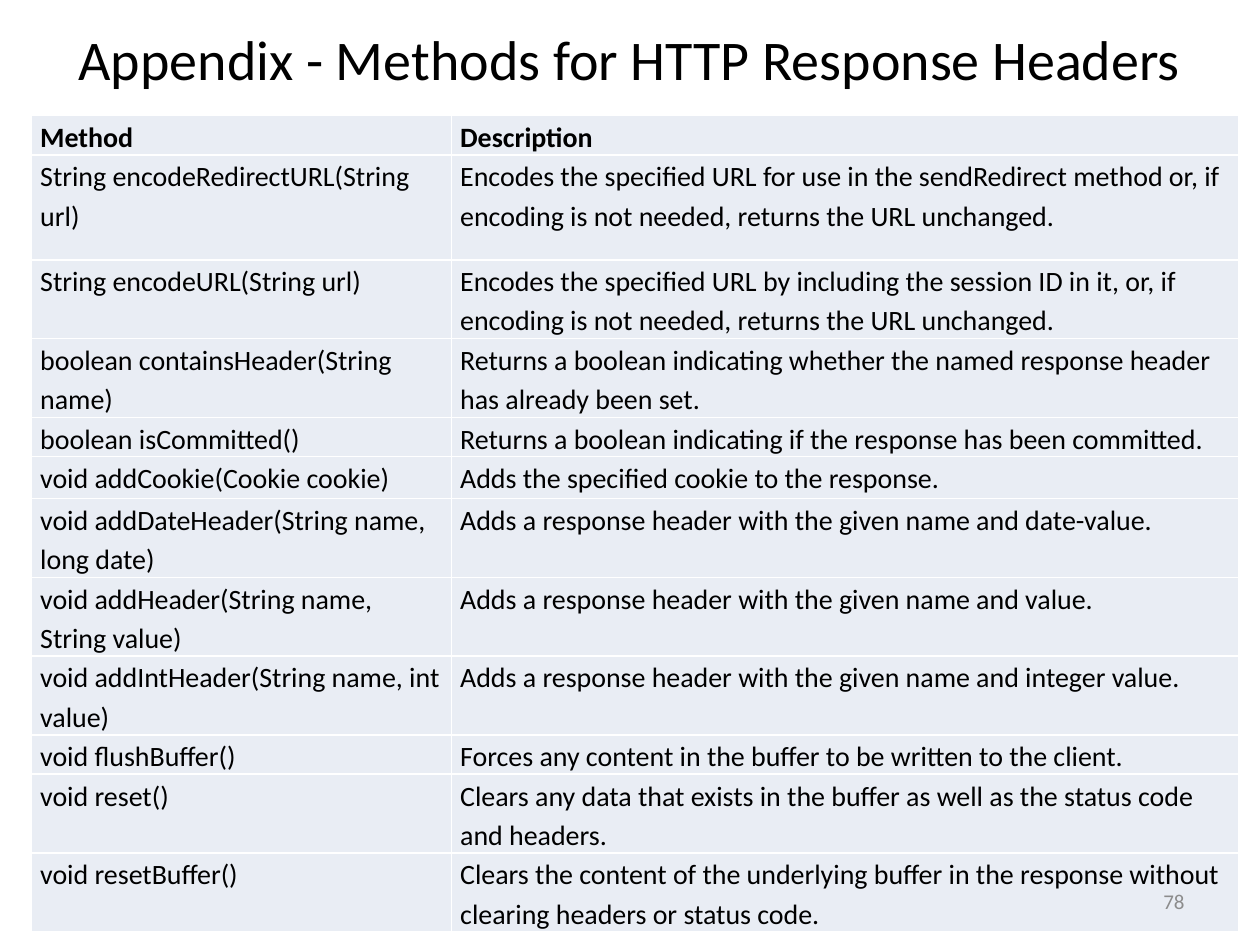
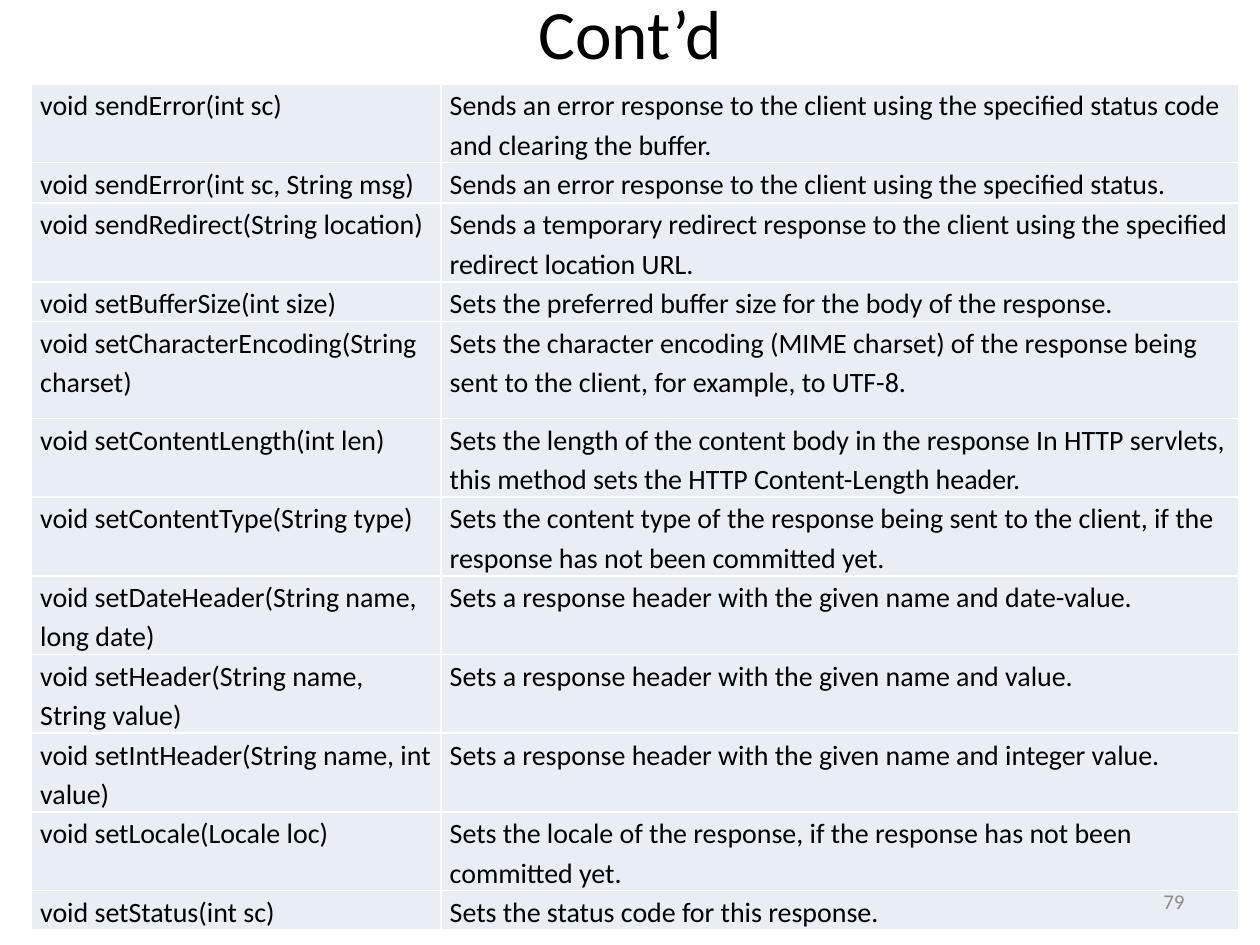
from dataclasses import dataclass

from lxml import etree
from pptx import Presentation
from pptx.dml.color import RGBColor
from pptx.enum.text import MSO_ANCHOR, MSO_AUTO_SIZE, PP_ALIGN
from pptx.oxml.ns import qn
from pptx.util import Pt

MIDDLE = MSO_ANCHOR.MIDDLE
NO_AUTOFIT = MSO_AUTO_SIZE.NONE
CENTER, RIGHT = PP_ALIGN.CENTER, PP_ALIGN.RIGHT
TITLE_ONLY_LAYOUT = 5


@dataclass(frozen=True)
class Theme:
    font: str = "Calibri"
    text: RGBColor = RGBColor(0x00, 0x00, 0x00)
    page_number: RGBColor = RGBColor(0x8C, 0x8C, 0x8C)
    cell: RGBColor = RGBColor(0xE9, 0xED, 0xF4)
    border: str = "FFFFFF"
    border_width: float = 1
    cell_size: float = 16
    cell_spacing: float = 1.15
    cell_inset: float = 5
    page_number_size: float = 12


THEME = Theme()
TABLE_LEFT = 18

# Each row: method, description, height in text lines
RESPONSE_METHODS = [
    ("Method", "Description", 1),
    ("String encodeRedirectURL(String url)",
     "Encodes the specified URL for use in the sendRedirect method or, if "
     "encoding is not needed, returns the URL unchanged.", 3),
    ("String encodeURL(String url)",
     "Encodes the specified URL by including the session ID in it, or, if "
     "encoding is not needed, returns the URL unchanged.", 2),
    ("boolean containsHeader(String name)",
     "Returns a boolean indicating whether the named response header has "
     "already been set.", 2),
    ("boolean isCommitted()",
     "Returns a boolean indicating if the response has been committed.", 1),
    ("void addCookie(Cookie cookie)",
     "Adds the specified cookie to the response.", 1.2),
    ("void addDateHeader(String name, long date)",
     "Adds a response header with the given name and date-value.", 2),
    ("void addHeader(String name, String value)",
     "Adds a response header with the given name and value.", 2),
    ("void addIntHeader(String name, int value)",
     "Adds a response header with the given name and integer value.", 2),
    ("void flushBuffer()",
     "Forces any content in the buffer to be written to the client.", 1),
    ("void reset()",
     "Clears any data that exists in the buffer as well as the status code "
     "and headers.", 1),
    ("void resetBuffer()",
     "Clears the content of the underlying buffer in the response without "
     "clearing headers or status code.", 2),
]

SEND_AND_SET_METHODS = [
    ("void sendError(int sc)",
     "Sends an error response to the client using the specified status code "
     "and clearing the buffer.", 2),
    ("void sendError(int sc, String msg)",
     "Sends an error response to the client using the specified status.", 1.25),
    ("void sendRedirect(String location)",
     "Sends a temporary redirect response to the client using the specified "
     "redirect location URL.", 2),
    ("void setBufferSize(int size)",
     "Sets the preferred buffer size for the body of the response.", 1),
    ("void setCharacterEncoding(String charset)",
     "Sets the character encoding (MIME charset) of the response being sent "
     "to the client, for example, to UTF-8.", 3),
    ("void setContentLength(int len)",
     "Sets the length of the content body in the response In HTTP servlets, "
     "this method sets the HTTP Content-Length header.", 2),
    ("void setContentType(String type)",
     "Sets the content type of the response being sent to the client, if the "
     "response has not been committed yet.", 2),
    ("void setDateHeader(String name, long date)",
     "Sets a response header with the given name and date-value.", 2),
    ("void setHeader(String name, String value)",
     "Sets a response header with the given name and value.", 2),
    ("void setIntHeader(String name, int value)",
     "Sets a response header with the given name and integer value.", 2),
    ("void setLocale(Locale loc)",
     "Sets the locale of the response, if the response has not been "
     "committed yet.", 1),
    ("void setStatus(int sc)", "Sets the status code for this response.", 1),
]


def format_paragraph(paragraph, size, color=THEME.text, bold=False):
    font = paragraph.font
    font.name = THEME.font
    font.size = Pt(size)
    font.bold = bold
    font.color.rgb = color


def set_line(text_frame, text, alignment, size, color=THEME.text):
    """Fill a text frame with one vertically centred line."""
    text_frame.text = text
    text_frame.word_wrap = True
    text_frame.auto_size = NO_AUTOFIT
    text_frame.vertical_anchor = MIDDLE
    paragraph = text_frame.paragraphs[0]
    paragraph.alignment = alignment
    format_paragraph(paragraph, size, color)


def add_titled_slide(presentation, title, height, size):
    layout = presentation.slide_layouts[TITLE_ONLY_LAYOUT]
    slide = presentation.slides.add_slide(layout)
    shape = slide.shapes.title
    shape.left, shape.top = Pt(36), Pt(0)
    shape.width, shape.height = Pt(648), Pt(height)
    set_line(shape.text_frame, title, CENTER, size)
    return slide


def add_page_number(slide, number):
    shape = slide.shapes.add_textbox(Pt(516), Pt(500.5), Pt(168), Pt(28.75))
    set_line(shape.text_frame, str(number), RIGHT,
             THEME.page_number_size, THEME.page_number)


def add_borders(cell):
    properties = cell._tc.get_or_add_tcPr()
    for side in ("a:lnL", "a:lnR", "a:lnT", "a:lnB"):
        line = etree.SubElement(properties, qn(side),
                                w=str(Pt(THEME.border_width)))
        fill = etree.SubElement(line, qn("a:solidFill"))
        etree.SubElement(fill, qn("a:srgbClr"), val=THEME.border)


def fill_cell(cell, text, bold):
    add_borders(cell)
    cell.fill.solid()
    cell.fill.fore_color.rgb = THEME.cell
    cell.margin_left = cell.margin_right = Pt(THEME.cell_inset)
    cell.margin_top = cell.margin_bottom = Pt(0)
    cell.text = text
    paragraph = cell.text_frame.paragraphs[0]
    paragraph.line_spacing = THEME.cell_spacing
    format_paragraph(paragraph, THEME.cell_size, bold=bold)


def add_method_table(slide, methods, top, height, column_widths, line_height,
                     has_header=False):
    frame = slide.shapes.add_table(
        len(methods), len(column_widths), Pt(TABLE_LEFT), Pt(top),
        Pt(sum(column_widths)), Pt(height))
    table = frame.table
    table.first_row = has_header
    table.horz_banding = False
    for column, width in zip(table.columns, column_widths):
        column.width = Pt(width)
    for index, (row, (*texts, lines)) in enumerate(zip(table.rows, methods)):
        row.height = Pt(lines * line_height)
        for cell, text in zip(row.cells, texts):
            fill_cell(cell, text, bold=has_header and index == 0)
    frame.height = Pt(height)


def main():
    presentation = Presentation()
    presentation.slide_width, presentation.slide_height = Pt(720), Pt(540)

    slide = add_titled_slide(
        presentation, "Appendix - Methods for HTTP Response Headers", 66, 32)
    add_method_table(slide, RESPONSE_METHODS, top=66, height=458.5,
                     column_widths=(240, 450), line_height=20,
                     has_header=True)
    add_page_number(slide, 78)

    slide = add_titled_slide(presentation, "Cont’d", 36, 39.6)
    add_method_table(slide, SEND_AND_SET_METHODS, top=48, height=476.5,
                     column_widths=(234, 456), line_height=18.5)
    add_page_number(slide, 79)

    presentation.save("out.pptx")


if __name__ == "__main__":
    main()
